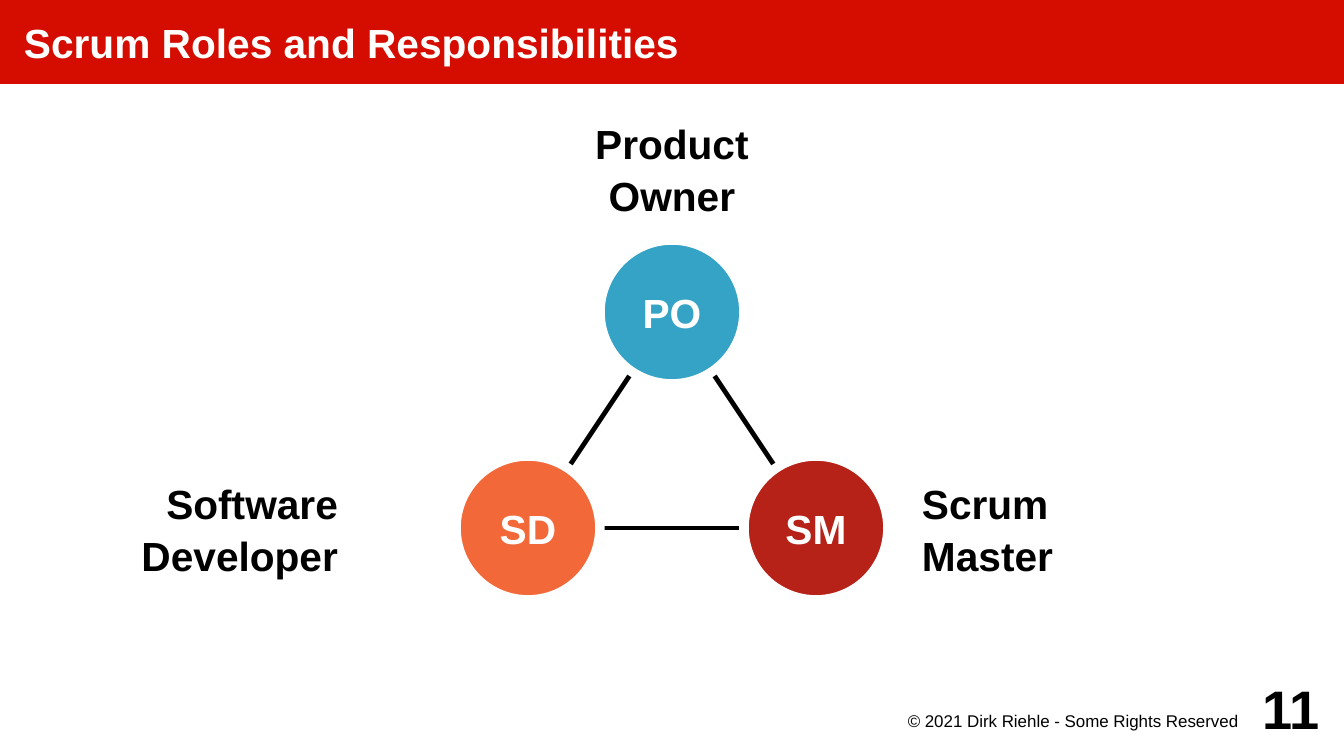
from itertools import combinations

from lxml.etree import SubElement
from pptx import Presentation
from pptx.dml.color import RGBColor
from pptx.enum.shapes import MSO_CONNECTOR, MSO_SHAPE
from pptx.enum.text import MSO_ANCHOR as Anchor, MSO_AUTO_SIZE, PP_ALIGN as Align
from pptx.oxml.ns import qn
from pptx.util import Pt

PX = 7500  # EMU in one px
SLIDE_SIZE = (1344, 756)
NODE = 144

RED = RGBColor(0xD5, 0x0D, 0x01)
WHITE = RGBColor(0xFF, 0xFF, 0xFF)
BLACK = RGBColor(0x00, 0x00, 0x00)
BLUE = RGBColor(0x34, 0xA3, 0xC5)
ORANGE = RGBColor(0xF3, 0x68, 0x38)
DARK_RED = RGBColor(0xB6, 0x21, 0x18)

# initials, colour, centre, label lines, label box, alignment, side insets
ROLES = [
    ("PO", BLUE, (672, 312), ("Product", "Owner"),
     (480, 96, 384, NODE), Align.CENTER, (10, 10)),
    ("SM", DARK_RED, (816, 528), ("Scrum", "Master"),
     (912, 456, 384, NODE), Align.LEFT, (10, 10)),
    ("SD", ORANGE, (528, 528), ("Software", "Developer"),
     (48, 456, 384, NODE), Align.RIGHT, (10, 94)),
]


def to_emu(lengths):
    return [length * PX for length in lengths]


def write(shape, lines, size, color, align, insets=(0, 0, 0, 0),
          anchor=Anchor.MIDDLE, bold=True, wrap=True, spacing=1):
    """Fill a shape with lines of text, parted by line breaks."""
    frame = shape.text_frame
    frame.auto_size = MSO_AUTO_SIZE.NONE
    frame.word_wrap = wrap
    frame.vertical_anchor = anchor
    (frame.margin_left, frame.margin_top,
     frame.margin_right, frame.margin_bottom) = to_emu(insets)
    para = frame.paragraphs[0]
    para.alignment = align
    para.line_spacing = spacing
    for index, line in enumerate(lines):
        if index:
            para.add_line_break()
        span = para.add_run()
        span.text = line
        span.font.name = "Arial"
        span.font.size = Pt(size)
        span.font.bold = bold
        span.font.color.rgb = color


def add_title(page, box, text):
    title = page.shapes.title
    title.left, title.top, title.width, title.height = to_emu(box)
    title.fill.solid()
    title.fill.fore_color.rgb = RED
    write(title, [text], 24, WHITE, Align.LEFT, insets=(24, 0, 0, 0))


def add_link(page, start, end):
    link = page.shapes.add_connector(MSO_CONNECTOR.STRAIGHT, *to_emu(start + end))
    link.line.color.rgb = BLACK
    link.line.width = Pt(2.83)
    SubElement(link.element.spPr, qn("a:effectLst"))


def add_node(page, center, initials, color):
    x, y = center
    box = (x - NODE // 2, y - NODE // 2, NODE, NODE)
    node = page.shapes.add_shape(MSO_SHAPE.OVAL, *to_emu(box))
    node.shadow.inherit = False
    node.fill.solid()
    node.fill.fore_color.rgb = color
    node.line.color.rgb = WHITE
    node.line.width = Pt(5.67)
    write(node, [initials], 24, WHITE, Align.CENTER, insets=(12, 12, 12, 12), wrap=False)


def add_role_triangle(page):
    centers = [role[2] for role in ROLES]
    for start, end in combinations(centers, 2):
        add_link(page, start, end)
    for initials, color, center, lines, box, align, (left, right) in ROLES:
        add_node(page, center, initials, color)
        label = page.shapes.add_textbox(*to_emu(box))
        write(label, lines, 24, BLACK, align, insets=(left, 10, right, 10), spacing=1.05)


def add_footer(page, box):
    x, y, width, height = box
    notice = page.shapes.add_textbox(*to_emu((x, y + 37, 384, height - 37)))
    write(notice, ["© 2021 Dirk Riehle - Some Rights Reserved"], 10, BLACK,
          Align.RIGHT, insets=(0, 2, 10, 0), anchor=Anchor.TOP, bold=False)
    number = page.shapes.add_textbox(*to_emu((x + width - 96, y, 96, 72)))
    write(number, ["11"], 32, BLACK, Align.RIGHT)


def main():
    deck = Presentation()
    deck.slide_width, deck.slide_height = to_emu(SLIDE_SIZE)
    page = deck.slides.add_slide(deck.slide_layouts[5])
    add_title(page, (0, 0, 1344, 84), "Scrum Roles and Responsibilities")
    add_role_triangle(page)
    add_footer(page, (864, 672, 456, 74))
    deck.save("out.pptx")


if __name__ == "__main__":
    main()
